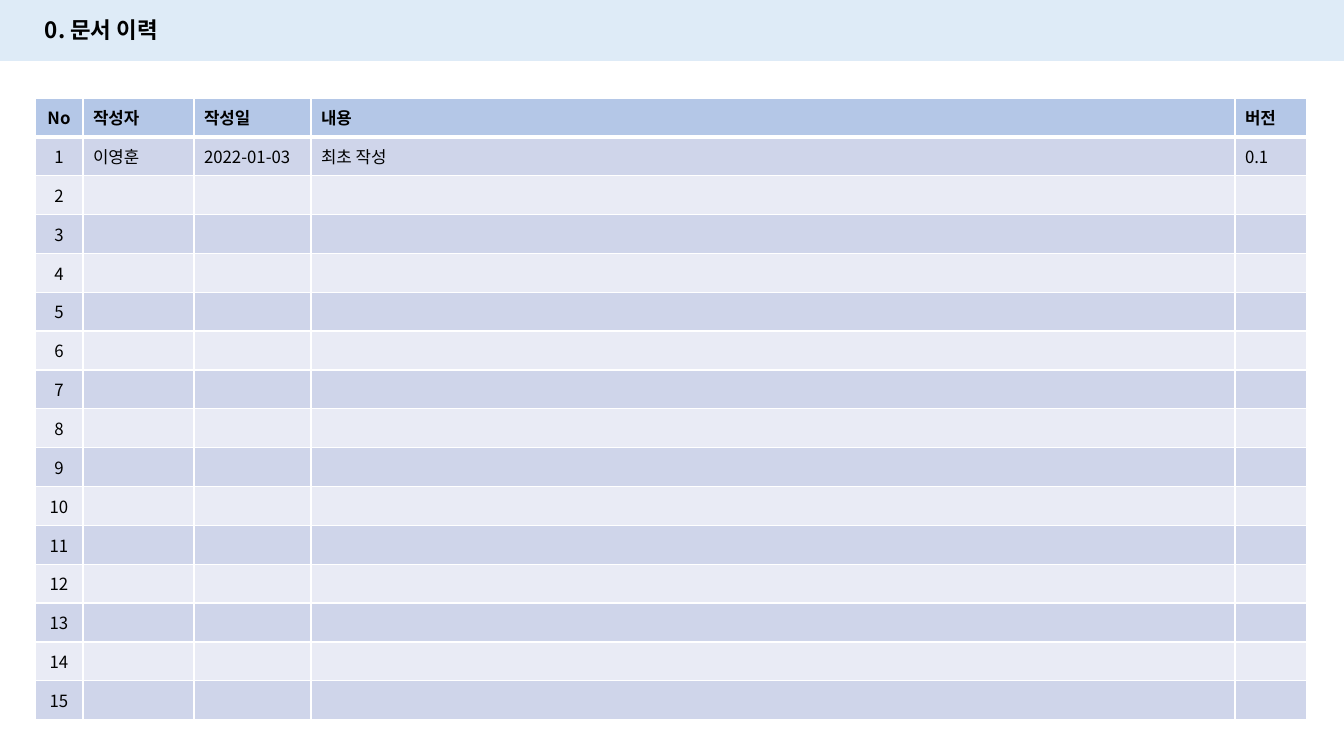
from lxml.etree import SubElement
from pptx import Presentation
from pptx.dml.color import RGBColor
from pptx.enum.shapes import MSO_SHAPE
from pptx.enum.text import MSO_ANCHOR, MSO_AUTO_SIZE, PP_ALIGN
from pptx.oxml.ns import qn
from pptx.util import Emu, Pt

PX_PER_INCH = 100.8
FONT = "Noto Sans CJK KR"
BLACK = RGBColor(0x00, 0x00, 0x00)
WHITE = RGBColor(0xFF, 0xFF, 0xFF)
BANNER = RGBColor(0xDE, 0xEB, 0xF7)
HEADER = RGBColor(0xB4, 0xC7, 0xE7)
ODD_ROW = RGBColor(0xCF, 0xD5, 0xEA)
EVEN_ROW = RGBColor(0xE9, 0xEB, 0xF5)

COLUMN_WIDTHS = [48, 111, 117, 924, 72]
HEADINGS = ["No", "작성자", "작성일", "내용", "버전"]
REVISIONS = [["이영훈", "2022-01-03", "최초 작성", "0.1"]]
REVISION_ROWS = 15


def px(length):
    return Emu(round(length * 914400 / PX_PER_INCH))


def write(para, text, size, bold=False):
    """Put text in a paragraph, with one font for Latin and Korean letters."""
    para.font.name = FONT
    para.font.size = Pt(size)
    para.font.bold = bold
    para.font.color.rgb = BLACK
    defaults = para._p.pPr.find(qn("a:defRPr"))
    SubElement(defaults, qn("a:ea"), typeface=FONT)
    if text:
        para.add_run().text = text
    else:
        SubElement(para._p, qn("a:endParaRPr"), sz=str(size * 100))


def add_borders(cell, top, bottom):
    """Draw white borders; top and bottom are widths in points."""
    properties = cell._tc.get_or_add_tcPr()
    for side, width in (("L", 1), ("R", 1), ("T", top), ("B", bottom)):
        line = SubElement(properties, qn(f"a:ln{side}"), w=str(Pt(width)))
        fill = SubElement(line, qn("a:solidFill"))
        SubElement(fill, qn("a:srgbClr"), val=str(WHITE))


def add_banner(page, left, top, width, height, title):
    band = page.shapes.add_shape(
        MSO_SHAPE.RECTANGLE, px(left), px(top), px(width), px(height))
    band.shadow.inherit = False
    band.fill.solid()
    band.fill.fore_color.rgb = BANNER
    band.line.fill.background()

    box = page.shapes.add_textbox(
        px(left + 35), px(top + 11), px(213), px(37))
    frame = box.text_frame
    frame.word_wrap = True
    frame.auto_size = MSO_AUTO_SIZE.SHAPE_TO_FIT_TEXT
    frame.vertical_anchor = MSO_ANCHOR.MIDDLE
    write(frame.paragraphs[0], title, 16, bold=True)


def add_history_table(page, left, top, width, height):
    rows = [HEADINGS]
    for number in range(1, REVISION_ROWS + 1):
        entry = REVISIONS[number - 1] if number <= len(REVISIONS) else [""] * 4
        rows.append([str(number), *entry])

    table = page.shapes.add_table(
        len(rows), len(HEADINGS), px(left), px(top), px(width), px(height)).table
    table.horz_banding = False
    table.first_row = False
    for column, column_width in zip(table.columns, COLUMN_WIDTHS):
        column.width = px(column_width)

    for r, texts in enumerate(rows):
        table.rows[r].height = px(height / len(rows))
        for c, text in enumerate(texts):
            cell = table.cell(r, c)
            add_borders(cell, top=3 if r == 1 else 1, bottom=3 if r == 0 else 1)
            cell.fill.solid()
            band_color = ODD_ROW if r % 2 else EVEN_ROW
            cell.fill.fore_color.rgb = HEADER if r == 0 else band_color
            cell.vertical_anchor = MSO_ANCHOR.MIDDLE
            para = cell.text_frame.paragraphs[0]
            if c == 0:
                para.alignment = PP_ALIGN.CENTER
            write(para, text, 12, bold=r == 0)


def main():
    deck = Presentation()
    deck.slide_width, deck.slide_height = px(1344), px(756)
    page = deck.slides.add_slide(deck.slide_layouts[6])
    add_banner(page, 0, 0, 1344, 61, "0. 문서 이력")
    add_history_table(page, 35, 98, sum(COLUMN_WIDTHS), 622)
    deck.save("out.pptx")


if __name__ == "__main__":
    main()
